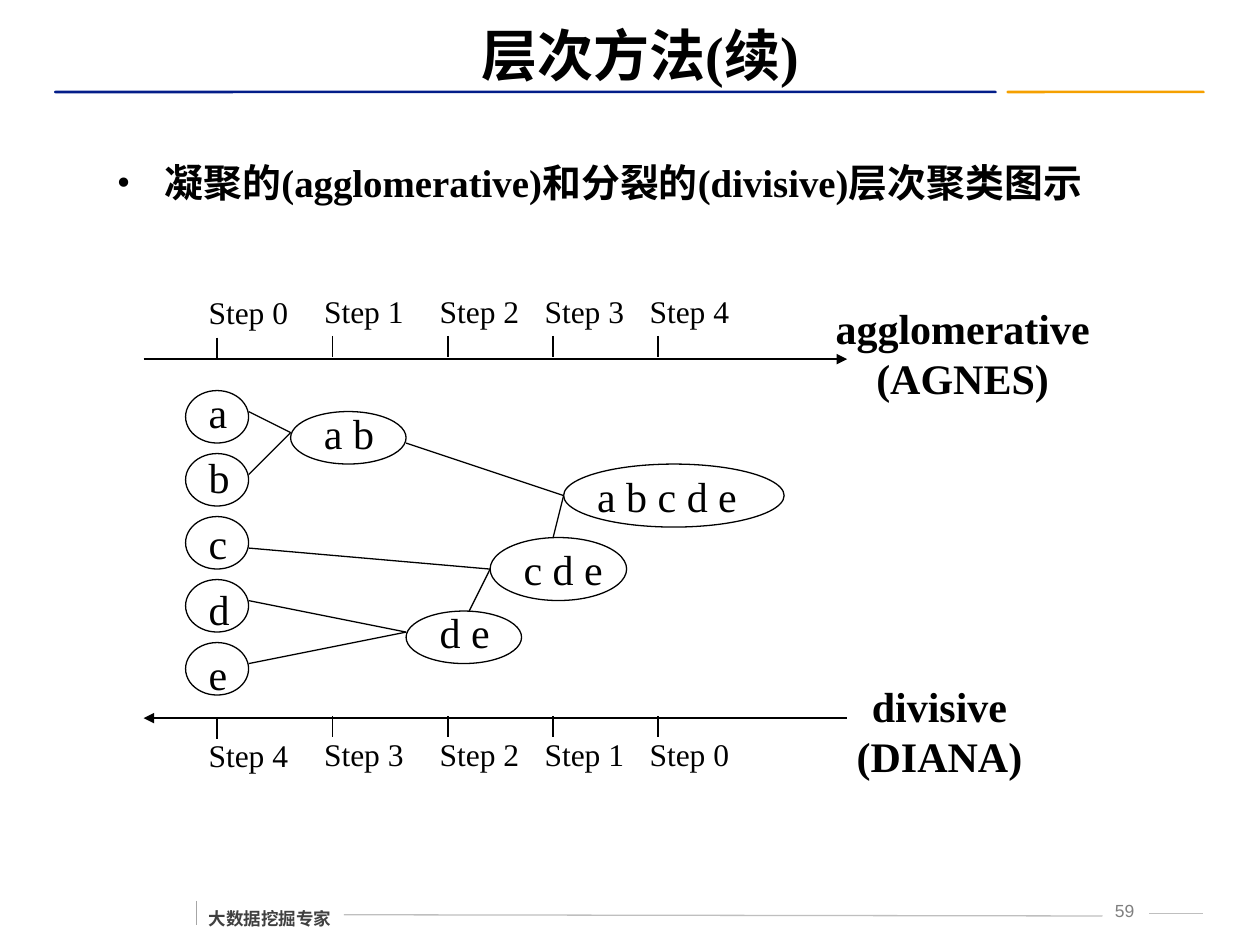
from dataclasses import dataclass

import pptx
import pptx.dml.color
import pptx.enum.shapes
import pptx.enum.text
import pptx.util
from pptx.oxml.ns import qn

RGBColor = pptx.dml.color.RGBColor
ALIGN = pptx.enum.text.PP_ALIGN
ANCHOR = pptx.enum.text.MSO_ANCHOR
SHAPE = pptx.enum.shapes.MSO_SHAPE

BLACK = RGBColor(0x00, 0x00, 0x00)
NAVY = RGBColor(0x03, 0x1D, 0x89)
ORANGE = RGBColor(0xF5, 0xA0, 0x00)
DARK_GREY = RGBColor(0x40, 0x40, 0x40)
MID_GREY = RGBColor(0x7F, 0x7F, 0x7F)
RULE_GREY = RGBColor(0xBF, 0xBF, 0xBF)
MARK_GREY = RGBColor(0xA6, 0xA6, 0xA6)

SERIF = "Times New Roman"
CJK = "Noto Sans CJK SC"


@dataclass
class Grid:
    """Square grid; origin and cell size are in inches."""
    left: float
    top: float
    cell: float

    def point(self, col, row):
        return (pptx.util.Inches(self.left + col * self.cell),
                pptx.util.Inches(self.top + row * self.cell))

    def box(self, col, row, cols, rows):
        return (*self.point(col, row),
                pptx.util.Inches(cols * self.cell), pptx.util.Inches(rows * self.cell))


PAGE = Grid(0, 0, 0.1)
DIAGRAM = Grid(1.14, 3.1, 1 / 12)

STEP_COLS = [7, 18, 29, 39, 49]
AGNES_ROW, DIANA_ROW = -3, 31.2
# text, ellipse cells, text offset inside the ellipse, text width
CLUSTERS = [
    ("a b", (14, 2, 11, 5), -1, 7.2),
    ("d e", (25, 21, 11, 5), -1, 7.2),
    ("c d e", (33, 14, 13, 6), 0, 10),
    ("a b c d e", (40, 7, 21, 6), 0, 15.7),
]
LINKS = [
    ((10, 2), (14, 4)), ((10, 8), (14, 4)),
    ((10, 20), (25, 23)), ((10, 26), (25, 23)),
    ((10, 15), (33, 17)), ((31, 21), (33, 17)),
    ((25, 5), (40, 10)), ((39, 14), (40, 10)),
]


def add_text(slide, box, lines, size, color=BLACK, bold=False, font=SERIF,
             anchor=ANCHOR.TOP, wrap=False, **paragraph_format):
    frame = slide.shapes.add_textbox(*box).text_frame
    frame.word_wrap = wrap
    frame.vertical_anchor = anchor
    run_format = {"size": pptx.util.Pt(size), "name": font, "bold": bold}
    for number, line in enumerate(lines):
        paragraph = frame.add_paragraph() if number else frame.paragraphs[0]
        for key, value in paragraph_format.items():
            setattr(paragraph, key, value)
        run = paragraph.add_run()
        run.text = line
        for key, value in run_format.items():
            setattr(run.font, key, value)
        run.font.color.rgb = color
        if not line.isascii():
            east_asian = run._r.get_or_add_rPr().makeelement(qn("a:ea"), {"typeface": CJK})
            run._r.rPr.find(qn("a:latin")).addnext(east_asian)
    return frame


def add_line(slide, grid, start, end, color=BLACK, width=0.75, arrow=None):
    """Draw a line; arrow is headEnd (at start) or tailEnd (at end)."""
    line = slide.shapes.add_connector(
        pptx.enum.shapes.MSO_CONNECTOR.STRAIGHT, *grid.point(*start), *grid.point(*end))
    line.line.color.rgb = color
    line.line.width = pptx.util.Pt(width)
    properties = line._element.spPr
    if arrow:
        outline = properties.find(qn("a:ln"))
        outline.append(outline.makeelement(qn("a:" + arrow), {"type": "triangle"}))
    properties.append(properties.makeelement(qn("a:effectLst"), {}))


def add_bar(slide, box, color, rounding):
    bar = slide.shapes.add_shape(SHAPE.ROUNDED_RECTANGLE, *PAGE.box(*box))
    bar.adjustments[0] = rounding
    bar.shadow.inherit = False
    bar.fill.solid()
    bar.fill.fore_color.rgb = color
    bar.line.fill.background()


def add_cluster(slide, members, ellipse_cells, text_cells):
    add_text(slide, DIAGRAM.box(*text_cells), [members], 24)
    ellipse = slide.shapes.add_shape(SHAPE.OVAL, *DIAGRAM.box(*ellipse_cells))
    ellipse.shadow.inherit = False
    ellipse.fill.background()
    ellipse.line.color.rgb = BLACK
    ellipse.line.width = pptx.util.Pt(0.75)


def add_step_axis(slide, row, steps, tick_row, label_row, arrow):
    add_line(slide, DIAGRAM, (0, row), (67, row), width=1.5, arrow=arrow)
    for col, step in zip(STEP_COLS, steps):
        drop = 0 if col > STEP_COLS[0] else 0.15
        add_line(slide, DIAGRAM, (col, tick_row + drop), (col, tick_row + 2 + drop))
        add_text(slide, DIAGRAM.box(col - 2, label_row + drop, 10, 4.8),
                 [f"Step {step}"], 18)


def add_bullet(paragraph):
    properties = paragraph._p.get_or_add_pPr()
    indent = pptx.util.Inches(0.38)
    properties.set("marL", str(indent))
    properties.set("indent", str(-indent))
    for tag, attributes in [("a:buFont", {"typeface": SERIF}), ("a:buChar", {"char": "•"})]:
        properties.append(properties.makeelement(qn(tag), attributes))


def add_header(slide):
    add_bar(slide, (79.9, 7.2, 15.7, 0.2), ORANGE, 0.36)
    add_bar(slide, (4.3, 7.2, 74.8, 0.2), NAVY, 0.5)
    add_text(slide, PAGE.box(10.9, 0, 79.8, 8.6), ["层次方法(续)"], 32, bold=True,
             anchor=ANCHOR.MIDDLE, wrap=True, alignment=ALIGN.CENTER)
    topic = add_text(slide, PAGE.box(8.3, 12.5, 86.7, 5.8),
                     ["凝聚的(agglomerative)和分裂的(divisive)层次聚类图示"],
                     22.2, bold=True, wrap=True, line_spacing=0.9)
    add_bullet(topic.paragraphs[0])


def add_footer(slide):
    add_line(slide, PAGE, (27.3, 72.6), (87.5, 72.7), RULE_GREY)
    add_line(slide, PAGE, (91.2, 72.5), (95.5, 72.5), RULE_GREY)
    add_line(slide, PAGE, (15.6, 71.5), (15.6, 73.4), MARK_GREY)
    add_text(slide, PAGE.box(15.6, 70.7, 11.7, 3.5), ["大数据挖掘专家"], 10,
             DARK_GREY, bold=True, font=CJK, line_spacing=1.5)
    add_text(slide, PAGE.box(86.9, 70.9, 4.7, 2.5), ["59"], 10, MID_GREY,
             font="Arial", wrap=True, alignment=ALIGN.CENTER)


def add_diagram(slide):
    add_step_axis(slide, AGNES_ROW, range(5), -5.2, -10, "tailEnd")
    add_step_axis(slide, DIANA_ROW, reversed(range(5)), 31, 32.2, "headEnd")
    for index, item in enumerate("abcde"):
        add_cluster(slide, item, (4, 6 * index, 6, 5), (5, 6.25 * index - 1, 4.2, 6))
    for members, ellipse, rise, width in CLUSTERS:
        col, row = ellipse[:2]
        add_cluster(slide, members, ellipse, (col + 2, row + rise, width, 6))
    for start, end in LINKS:
        add_line(slide, DIAGRAM, start, end)
    for method, cells in [
        (["agglomerative", "(AGNES)"], (64.2, -9, 27.6, 10.8)),
        (["divisive", "(DIANA)"], (65.8, 27, 20, 10.8)),
    ]:
        add_text(slide, DIAGRAM.box(*cells), method, 24, bold=True,
                 alignment=ALIGN.CENTER)


def main():
    deck = pptx.Presentation()
    deck.slide_width, deck.slide_height = PAGE.point(100, 75)
    slide = deck.slides.add_slide(deck.slide_layouts[6])
    add_header(slide)
    add_footer(slide)
    add_diagram(slide)
    deck.save("out.pptx")


if __name__ == "__main__":
    main()
